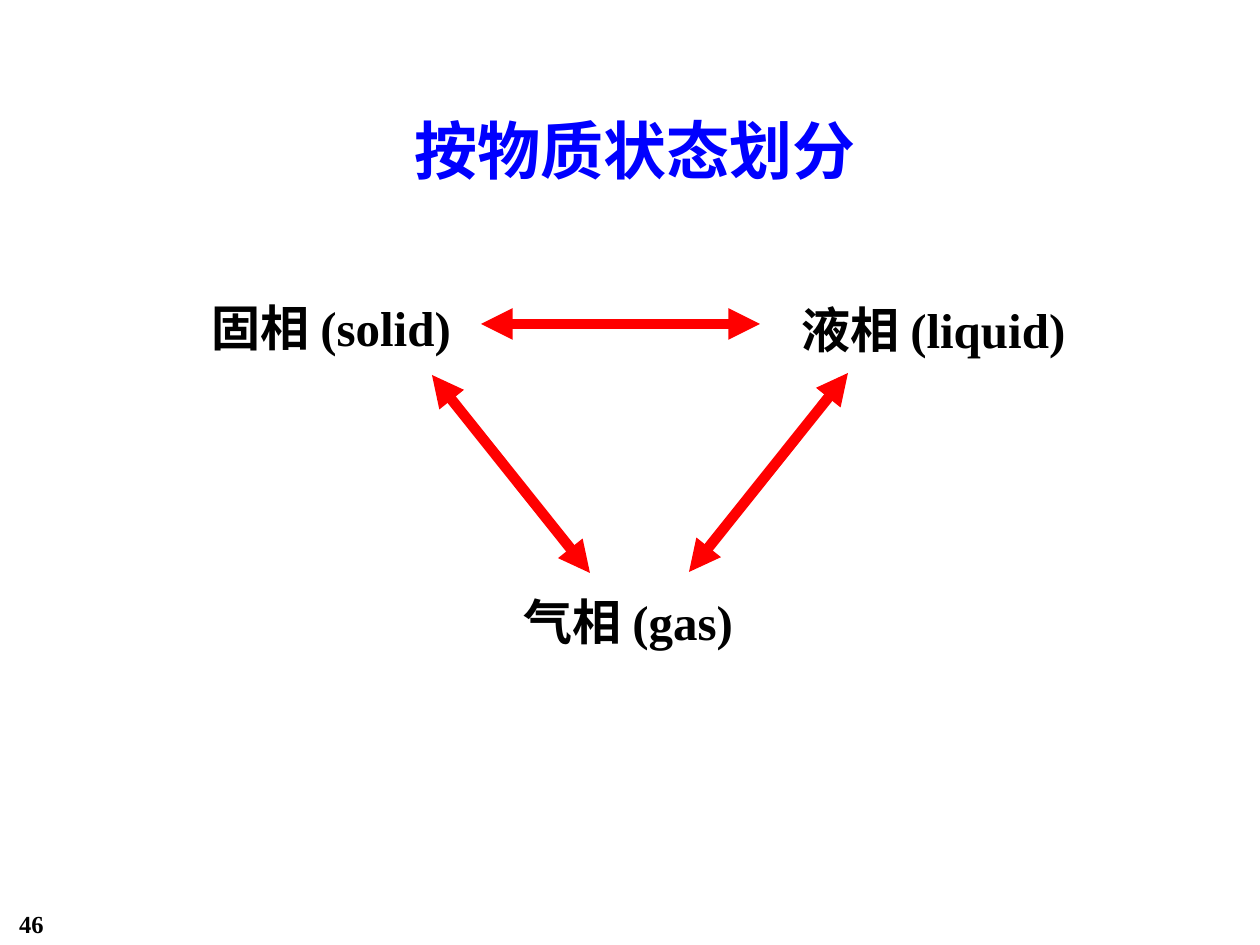
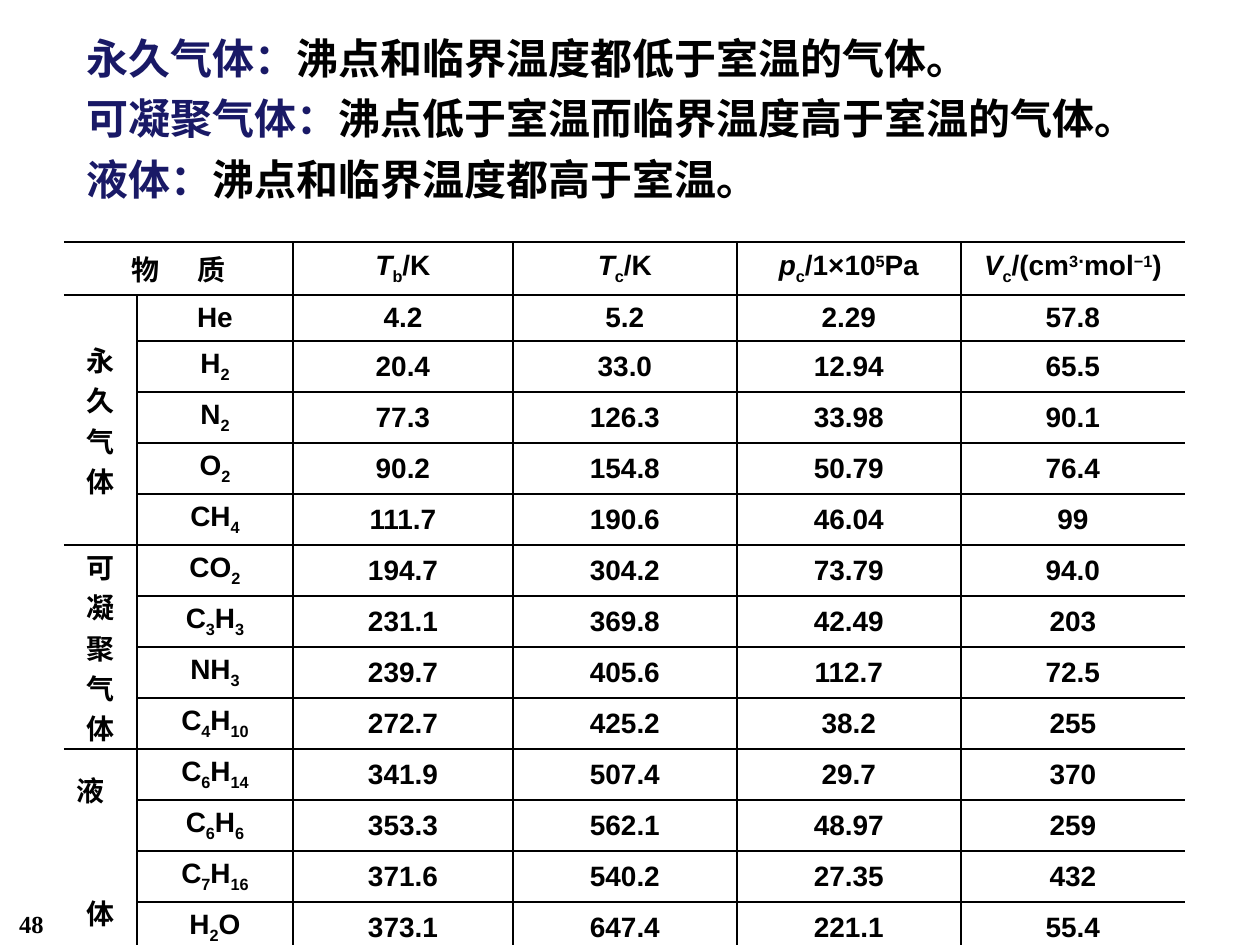
from itertools import groupby

from lxml.etree import SubElement
from pptx import Presentation
from pptx.dml.color import RGBColor
from pptx.enum.shapes import MSO_CONNECTOR as CONN
from pptx.enum.text import MSO_ANCHOR as ANCHOR, MSO_AUTO_SIZE as AUTO, PP_ALIGN as ALIGN
from pptx.oxml.ns import qn
from pptx.util import Emu, Pt

PX_PER_INCH = 126
BLACK, BLUE, NAVY, RED, WHITE = "000000", "0000FF", "191966", "FF0000", "FFFFFF"
SANS, SERIF, CJK = "Arial", "Times New Roman", "Noto Sans CJK SC"
NO_TABLE_STYLE = "{2D5ABB26-0587-4C30-8999-92F81FD0307C}"
TITLE_ONLY, TITLE_AND_BODY = 5, 1

ITALIC, SUB, SUP = {"italic": True}, {"baseline": -25}, {"baseline": 30}
HEADERS = [
    [("T", ITALIC), ("b", SUB), ("/K", {})],
    [("T", ITALIC), ("c", SUB), ("/K", {})],
    [("p", ITALIC), ("c", SUB), ("/1×10", {}), ("5", SUP), ("Pa", {})],
    [("V", ITALIC), ("c", SUB), ("/(cm", {}), ("3⋅", SUP), ("mol", {}), ("−1", SUP), (")", {})],
]
SUBSTANCES = [
    ("He", "4.2", "5.2", "2.29", "57.8"),
    ("H2", "20.4", "33.0", "12.94", "65.5"),
    ("N2", "77.3", "126.3", "33.98", "90.1"),
    ("O2", "90.2", "154.8", "50.79", "76.4"),
    ("CH4", "111.7", "190.6", "46.04", "99"),
    ("CO2", "194.7", "304.2", "73.79", "94.0"),
    ("C3H3", "231.1", "369.8", "42.49", "203"),
    ("NH3", "239.7", "405.6", "112.7", "72.5"),
    ("C4H10", "272.7", "425.2", "38.2", "255"),
    ("C6H14", "341.9", "507.4", "29.7", "370"),
    ("C6H6", "353.3", "562.1", "48.97", "259"),
    ("C7H16", "371.6", "540.2", "27.35", "432"),
    ("H2O", "373.1", "647.4", "221.1", "55.4"),
]
DEFINITIONS = [
    ("永久气体：", "沸点和临界温度都低于室温的气体。"),
    ("可凝聚气体：", "沸点低于室温而临界温度高于室温的气体。"),
    ("液体：", "沸点和临界温度都高于室温。"),
]


def px(n):
    return Emu(round(n * 914400 / PX_PER_INCH))


def rgb(color):
    return RGBColor.from_string(color)


def add_run(p, text, size=16, color=BLACK, font=SANS, bold=True, italic=False,
            baseline=0, spacing=0):
    """Add a run; baseline is in percent and spacing in points."""
    r = p.add_run()
    r.text = text
    f = r.font
    f.size, f.bold, f.italic, f.name = Pt(size), bold, italic, font
    f.color.rgb = rgb(color)
    rPr = r._r.get_or_add_rPr()
    SubElement(rPr, qn("a:ea")).set("typeface", CJK)
    if baseline:
        rPr.set("baseline", str(baseline * 1000))
    if spacing:
        rPr.set("spc", str(spacing * 100))


def place(sp, left, top, width, height):
    sp.left, sp.top, sp.width, sp.height = px(left), px(top), px(width), px(height)


def set_frame(sp, wrap=True, anchor=ANCHOR.TOP):
    tf = sp.text_frame
    tf.word_wrap, tf.auto_size, tf.vertical_anchor = wrap, AUTO.NONE, anchor
    return tf


def add_label(slide, text, box, anchor=ANCHOR.MIDDLE, align=ALIGN.LEFT, **style):
    sp = slide.shapes.add_textbox(*map(px, box))
    p = set_frame(sp, anchor=anchor).paragraphs[0]
    p.alignment = align
    add_run(p, text, font=SERIF, **style)


def add_page_number(slide, number):
    add_label(slide, str(number), (0, 903, 63, 32), ANCHOR.TOP, ALIGN.CENTER, size=14)


def add_title(slide, text):
    sp = slide.shapes.title
    place(sp, 399, 105, 473, 89)
    p = set_frame(sp, wrap=False, anchor=ANCHOR.MIDDLE).paragraphs[0]
    p.alignment = ALIGN.CENTER
    add_run(p, text, size=36, color=BLUE, font=CJK)


def add_double_arrow(slide, x1, y1, x2, y2):
    c = slide.shapes.add_connector(CONN.STRAIGHT, px(x1), px(y1), px(x2), px(y2))
    c.line.color.rgb = rgb(RED)
    c.line.width = Pt(6)
    ln = c.line._get_or_add_ln()
    for end in ("a:headEnd", "a:tailEnd"):
        SubElement(ln, qn(end)).set("type", "triangle")
    SubElement(c._element.spPr, qn("a:effectLst"))


def add_definitions(slide):
    title, body = slide.placeholders
    title._element.getparent().remove(title._element)
    place(body, 74, 16, 1171, 188)
    tf = set_frame(body)
    for i, (term, meaning) in enumerate(DEFINITIONS):
        p = tf.add_paragraph() if i else tf.paragraphs[0]
        pPr = p._p.get_or_add_pPr()
        pPr.set("marL", "0")
        pPr.set("indent", "0")
        SubElement(pPr, qn("a:buNone"))
        p.space_before, p.line_spacing = Pt(0), 1.2
        add_run(p, term, size=24, color=NAVY, font=CJK)
        add_run(p, meaning, size=24, font=CJK)


def set_borders(cell, open_side):
    """Draw every border except the open side."""
    tcPr = cell._tc.get_or_add_tcPr()
    for side in "LRTB":
        ln = SubElement(tcPr, qn(f"a:ln{side}"), w=str(Pt(1)))
        if side == open_side:
            SubElement(ln, qn("a:noFill"))
        else:
            SubElement(SubElement(ln, qn("a:solidFill")), qn("a:srgbClr"), val=BLACK)


def fill_cell(cell, runs):
    p = cell.text_frame.paragraphs[0]
    p.alignment = ALIGN.CENTER
    for text, style in runs:
        add_run(p, text, **style)


def formula_runs(formula):
    """Split a chemical formula into letters and subscript digits."""
    return [("".join(chars), SUB if digits else {})
            for digits, chars in groupby(formula, str.isdigit)]


def add_property_table(slide):
    widths = [73, 156, 220, 224, 224, 224]
    heights = [51, 46] + [51] * (len(SUBSTANCES) - 1)
    frame = slide.shapes.add_table(len(heights), len(widths), px(64), px(242),
                                   px(sum(widths)), px(sum(heights)))
    table = frame.table
    table.first_row = table.horz_banding = False
    table._tbl.tblPr.find(qn("a:tableStyleId")).text = NO_TABLE_STYLE
    for col, width in zip(table.columns, widths):
        col.width = px(width)
    open_sides = {0: "L", len(widths) - 1: "R"}
    for row, height in zip(table.rows, heights):
        row.height = px(height)
        for c, cell in enumerate(row.cells):
            cell.vertical_anchor = ANCHOR.MIDDLE
            set_borders(cell, open_sides.get(c))
            cell.fill.background()

    table.cell(0, 0).merge(table.cell(0, 1))
    fill_cell(table.cell(0, 0), [("物", {}), (" ", {"spacing": 18}), ("质", {})])
    for c, runs in enumerate(HEADERS, 2):
        fill_cell(table.cell(0, c), runs)
    for r, (formula, *values) in enumerate(SUBSTANCES, 1):
        fill_cell(table.cell(r, 1), formula_runs(formula))
        for c, value in enumerate(values, 2):
            fill_cell(table.cell(r, c), [(value, {})])

    first = 1
    for group, count in (("永久气体", 5), ("可凝聚气体", 4), ("液", 4)):
        group_cell = table.cell(first, 0)
        group_cell.merge(table.cell(first + count - 1, 0))
        group_cell.margin_top = group_cell.margin_bottom = 0
        fill_cell(group_cell, [(group, {})])
        first += count
    tf = group_cell.text_frame
    tf.paragraphs[0].alignment = ALIGN.LEFT
    p = tf.add_paragraph()
    p.alignment, p.space_before = ALIGN.CENTER, Pt(47)
    add_run(p, "体")


def add_slide(prs, layout):
    slide = prs.slides.add_slide(prs.slide_layouts[layout])
    slide.background.fill.solid()
    slide.background.fill.fore_color.rgb = rgb(WHITE)
    return slide


def build_phases(prs):
    slide = add_slide(prs, TITLE_ONLY)
    add_page_number(slide, 46)
    add_label(slide, "液相 (liquid)", (789, 293, 338, 72), size=28)
    add_label(slide, "固相 (solid)", (199, 291, 318, 72), size=28)
    add_label(slide, "气相 (gas)", (511, 585, 307, 72), size=28)
    for ends in ((689, 572, 848, 373), (481, 324, 760, 324), (432, 375, 590, 573)):
        add_double_arrow(slide, *ends)
    add_title(slide, "按物质状态划分")


def build_properties(prs):
    slide = add_slide(prs, TITLE_AND_BODY)
    add_property_table(slide)
    add_page_number(slide, 48)
    add_definitions(slide)


def main():
    prs = Presentation()
    prs.slide_width, prs.slide_height = px(1260), px(945)
    build_phases(prs)
    build_properties(prs)
    prs.save("out.pptx")


if __name__ == "__main__":
    main()
